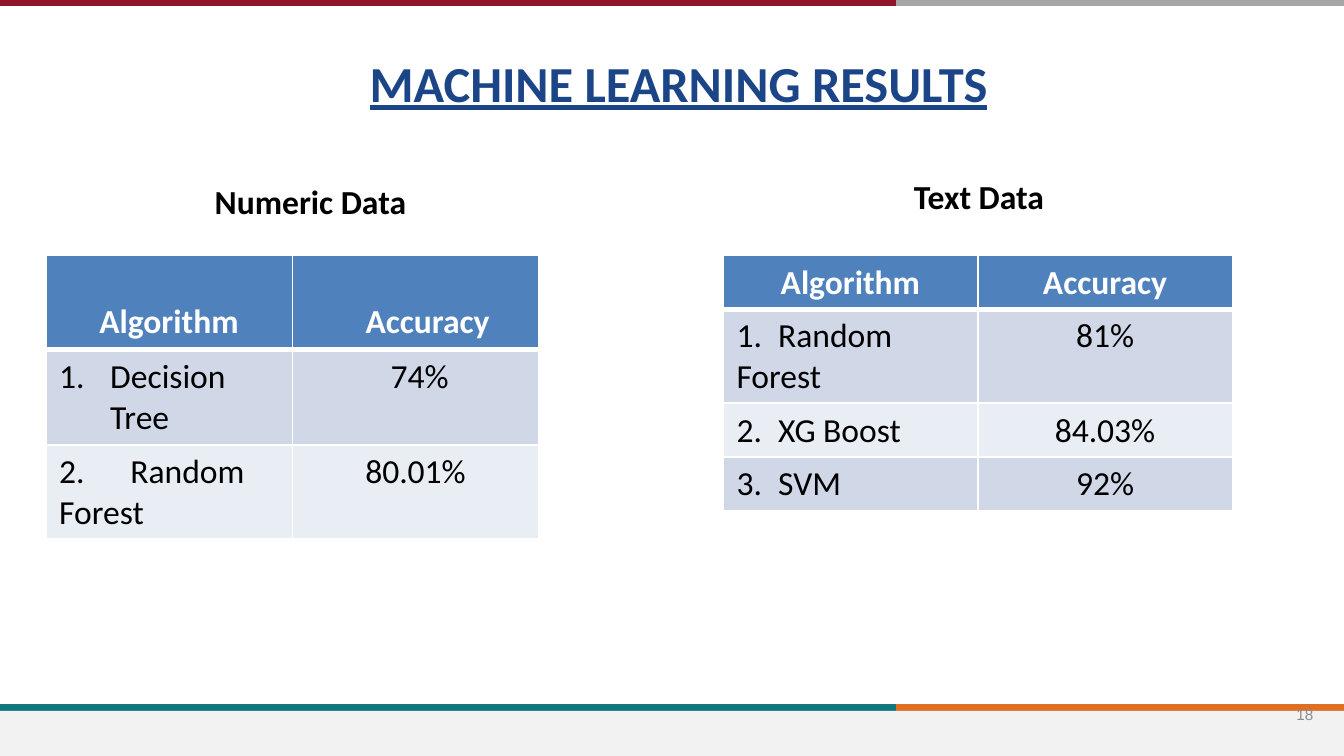
from lxml.etree import SubElement
from pptx import Presentation
from pptx.dml.color import RGBColor
from pptx.enum.shapes import MSO_CONNECTOR, MSO_SHAPE
from pptx.enum.text import MSO_ANCHOR, PP_ALIGN
from pptx.oxml.ns import qn
from pptx.util import Inches, Pt

WIDTH = 10
HEIGHT = WIDTH * 9 / 16
SPLIT = WIDTH * 2 / 3
TABLE_TOP = 1.9
FOOTER_TOP = 5.29
BANDS = [(5.27, "0F787D", "DF7023"), (0.02, "90152A", "A6A6A6")]
HEADER_FILL, ROW_FILLS = "4F81BD", ("D0D8E8", "E9EDF4")
HEADERS = ("Algorithm", "Accuracy")
TABLES = [
    {
        "caption": "Numeric Data", "caption_box": (0.45, 1.3, 3.56, 0.4), "caption_margin": 0.26,
        "left": 0.34, "width": 3.67, "heights": (0.7, 0.71, 0.7),
        "cell_margins": {(0, 1): 0.28, (1, 1): 0.16},
        "rows": [("Decision Tree", "74%"), ("2.\tRandom Forest", "80.01%")],
        "tab": 0.53, "numbered": "Decision Tree",
    },
    {
        "caption": "Text Data", "caption_box": (5.4, 1.26, 3.77, 0.4), "caption_margin": 0.1,
        "left": 5.38, "width": 3.79, "heights": (0.39, 0.7, 0.4, 0.4), "cell_margins": {},
        "rows": [("1.\tRandom Forest", "81%"), ("2.\tXG Boost", "84.03%"), ("3.\tSVM", "92%")],
        "tab": 0.31, "numbered": None,
    },
]


def color(value):
    """Turn a hex string into a colour."""
    return RGBColor.from_string(value)


def write(frame, text, size=18, font="Calibri", fill="000000", bold=False,
          underline=False, align=PP_ALIGN.LEFT):
    """Fill a text frame with one formatted paragraph."""
    paragraph = frame.paragraphs[0]
    paragraph.alignment = align
    run = paragraph.add_run()
    run.text = text
    run.font.size, run.font.name = Pt(size), font
    run.font.bold, run.font.underline = bold, underline
    run.font.color.rgb = color(fill)
    return paragraph


def add_text(slide, box, text, margin=0.1, **style):
    """Add a wrapping text box."""
    frame = slide.shapes.add_textbox(*map(Inches, box)).text_frame
    frame.word_wrap = True
    frame.margin_left = Inches(margin)
    write(frame, text, **style)
    return frame


def add_line(slide, start, end, top, fill):
    """Add a horizontal line without a shadow."""
    line = slide.shapes.add_connector(
        MSO_CONNECTOR.STRAIGHT, Inches(start), Inches(top), Inches(end), Inches(top))
    line.line.color.rgb, line.line.width = color(fill), Pt(4)
    SubElement(line._element.spPr, qn("a:effectLst"))


def add_borders(cell, bottom):
    """Draw white borders around a cell."""
    properties = cell._tc.get_or_add_tcPr()
    for side, width in (("L", 1), ("R", 1), ("T", 1), ("B", bottom)):
        border = SubElement(properties, qn(f"a:ln{side}"), w=str(Pt(width)))
        SubElement(SubElement(border, qn("a:solidFill")), qn("a:srgbClr"), val="FFFFFF")


def set_list_layout(paragraph, tab, numbered):
    """Number a paragraph or set its tab stop."""
    properties = paragraph._p.get_or_add_pPr()
    if numbered:
        properties.set("marL", str(Inches(0.38)))
        properties.set("indent", str(-Inches(0.38)))
        SubElement(properties, qn("a:buFont"), typeface="+mj-lt")
        SubElement(properties, qn("a:buAutoNum"), type="arabicPeriod")
    else:
        tabs = SubElement(properties, qn("a:tabLst"))
        SubElement(tabs, qn("a:tab"), pos=str(Inches(tab)), algn="l")


def add_results(slide, data):
    """Add a caption and its results table."""
    add_text(slide, data["caption_box"], data["caption"], data["caption_margin"],
             bold=True, align=PP_ALIGN.CENTER)
    rows = [HEADERS, *data["rows"]]
    table = slide.shapes.add_table(
        len(rows), len(HEADERS), Inches(data["left"]), Inches(TABLE_TOP),
        Inches(data["width"]), Inches(sum(data["heights"]))).table
    for row, height in zip(table.rows, data["heights"]):
        row.height = Inches(height)
    for row_index, values in enumerate(rows):
        header = row_index == 0
        for column, text in enumerate(values):
            cell = table.cell(row_index, column)
            add_borders(cell, 3 if header else 1)
            cell.fill.solid()
            cell.fill.fore_color.rgb = color(
                HEADER_FILL if header else ROW_FILLS[(row_index - 1) % 2])
            cell.margin_left = Inches(data["cell_margins"].get((row_index, column), 0.1))
            centered = header or column == 1
            paragraph = write(cell.text_frame, text, bold=header,
                              fill="FFFFFF" if header else "000000",
                              align=PP_ALIGN.CENTER if centered else PP_ALIGN.LEFT)
            if header:
                cell.vertical_anchor = MSO_ANCHOR.BOTTOM
            elif column == 0:
                set_list_layout(paragraph, data["tab"], text == data["numbered"])


def main():
    """Build and save the slide."""
    presentation = Presentation()
    presentation.slide_width, presentation.slide_height = Inches(WIDTH), Inches(HEIGHT)
    slide = presentation.slides.add_slide(presentation.slide_layouts[5])
    for top, left_fill, right_fill in BANDS:
        add_line(slide, SPLIT, WIDTH, top, right_fill)
        add_line(slide, 0, SPLIT, top, left_fill)
    footer = slide.shapes.add_shape(
        MSO_SHAPE.RECTANGLE, 0, Inches(FOOTER_TOP), Inches(WIDTH), Inches(HEIGHT - FOOTER_TOP))
    footer.shadow.inherit = False
    footer.fill.solid()
    footer.fill.fore_color.rgb = color("F2F2F2")
    footer.line.fill.background()
    number = add_text(slide, (9.27, 5.1, 0.6, 0.43), "18", size=8.2, font="Arial",
                      fill="8C8C8C", align=PP_ALIGN.RIGHT)
    number.vertical_anchor = MSO_ANCHOR.MIDDLE

    title = slide.shapes.title
    title.left, title.top, title.width, title.height = map(Inches, (2.65, 0.34, 4.84, 0.56))
    title.text_frame.word_wrap = False
    title.text_frame.vertical_anchor = MSO_ANCHOR.TOP
    write(title.text_frame, "MACHINE LEARNING RESULTS", size=27, fill="1C4587",
          bold=True, underline=True)
    for data in TABLES:
        add_results(slide, data)
    presentation.save("out.pptx")


if __name__ == "__main__":
    main()
